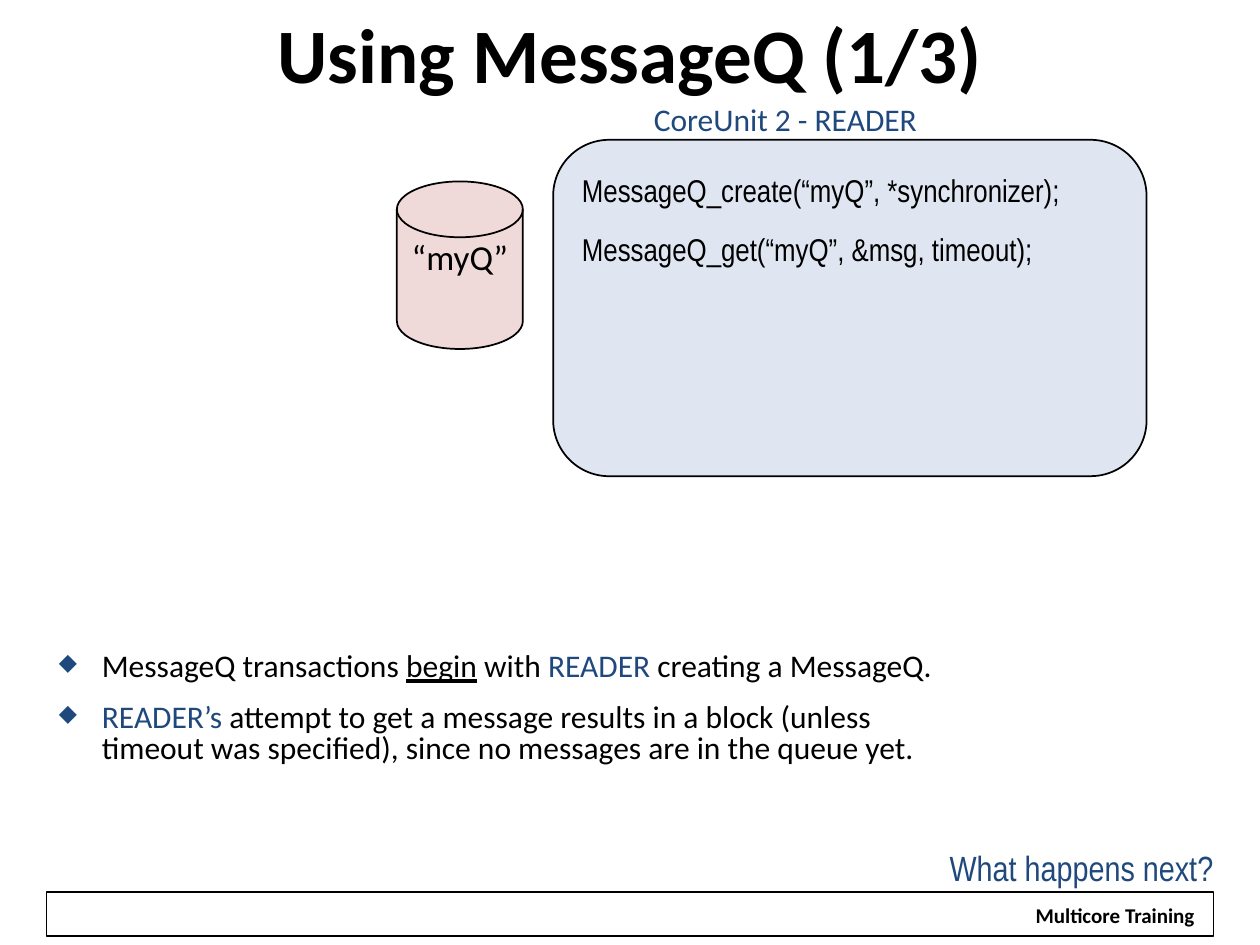
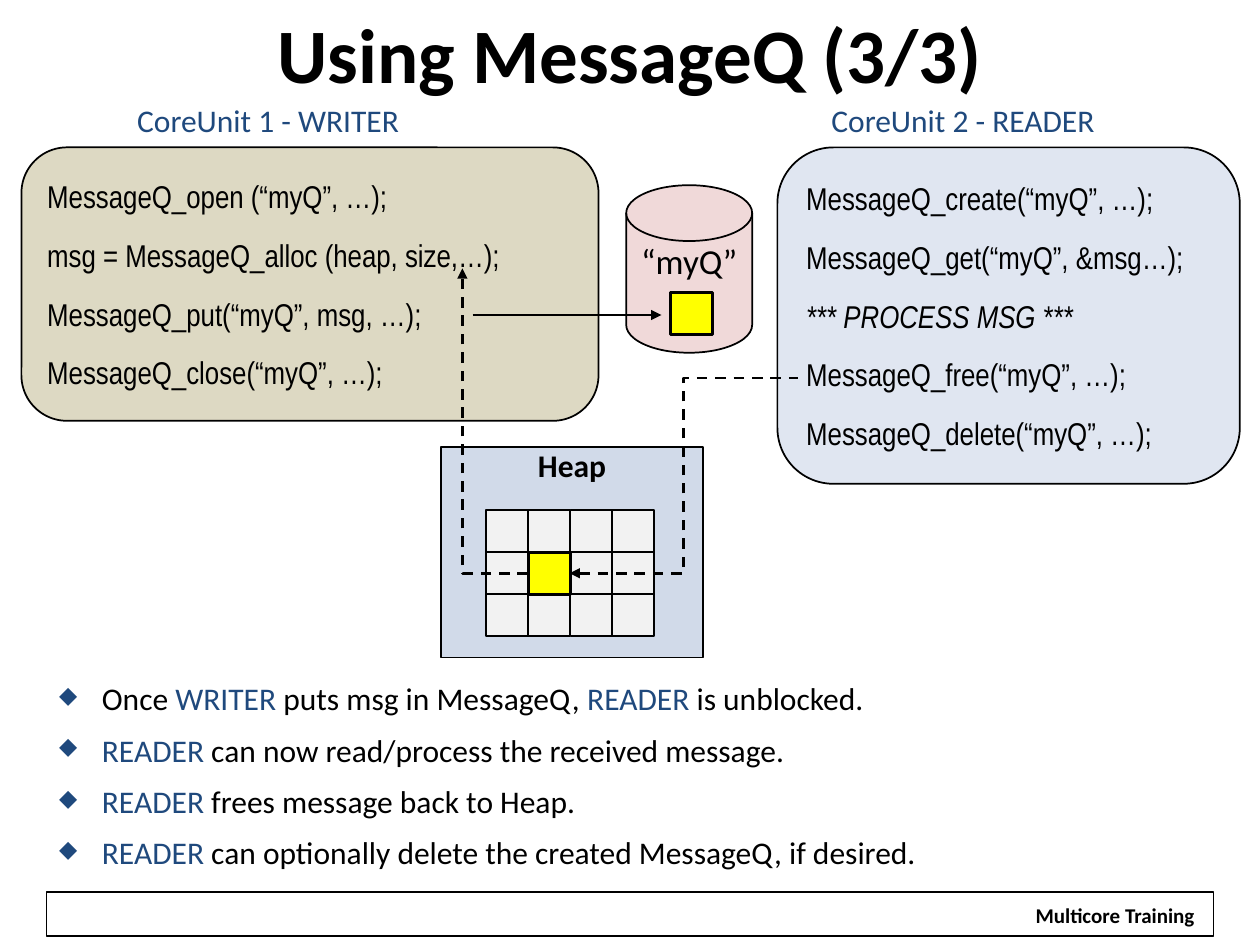
from pptx import Presentation
from pptx.dml.color import RGBColor
from pptx.enum.dml import MSO_LINE
from pptx.enum.shapes import MSO_CONNECTOR, MSO_SHAPE
from pptx.enum.text import MSO_ANCHOR, PP_ALIGN
from pptx.oxml.ns import qn
from pptx.util import Inches, Pt
from lxml import etree

BLACK = RGBColor(0x00, 0x00, 0x00)
WHITE = RGBColor(0xFF, 0xFF, 0xFF)
NAVY = RGBColor(0x1F, 0x49, 0x7D)
READER_FILL = RGBColor(0xE0, 0xE6, 0xF1)
WRITER_FILL = RGBColor(0xDD, 0xD9, 0xC3)
QUEUE_FILL = RGBColor(0xF0, 0xD9, 0xD9)
HEAP_FILL = RGBColor(0xD1, 0xDA, 0xE9)
CELL_FILL = RGBColor(0xF2, 0xF2, 0xF2)
MSG_FILL = RGBColor(0xFF, 0xFF, 0x00)

BODY_FONT = "Calibri"
CODE_FONT = "Arial Narrow"

RECT = MSO_SHAPE.RECTANGLE
ROUND = MSO_SHAPE.ROUNDED_RECTANGLE
DISK = MSO_SHAPE.FLOWCHART_MAGNETIC_DISK
STRAIGHT = MSO_CONNECTOR.STRAIGHT
ELBOW = MSO_CONNECTOR.ELBOW
DASH = MSO_LINE.DASH
TOP, MIDDLE, BOTTOM = MSO_ANCHOR.TOP, MSO_ANCHOR.MIDDLE, MSO_ANCHOR.BOTTOM
LEFT, CENTER, RIGHT = PP_ALIGN.LEFT, PP_ALIGN.CENTER, PP_ALIGN.RIGHT

CELL = 1 / 3


def inches(box):
    return [Inches(v) for v in box]


def add_box(s, kind, box, fill=None, line_pt=1.0):
    sp = s.shapes.add_shape(kind, *inches(box))
    sp.shadow.inherit = False
    if fill is None:
        sp.fill.background()
    else:
        sp.fill.solid()
        sp.fill.fore_color.rgb = fill
    if line_pt:
        sp.line.color.rgb = BLACK
        sp.line.width = Pt(line_pt)
    else:
        sp.line.fill.background()
    return sp


def add_run(p, text, size, font=BODY_FONT, color=BLACK, bold=False):
    r = p.add_run()
    r.text = text
    r.font.size = Pt(size)
    r.font.name = font
    r.font.color.rgb = color
    r.font.bold = bold
    return r


def set_text(sp, text, size, anchor=MIDDLE, align=LEFT, spacing=None, **style):
    tf = sp.text_frame
    tf.word_wrap = True
    tf.vertical_anchor = anchor
    p = tf.paragraphs[0]
    p.alignment = align
    if spacing:
        p.line_spacing = spacing
    add_run(p, text, size, **style)
    return tf


def add_label(s, box, text, size, **style):
    return set_text(s.shapes.add_textbox(*inches(box)), text, size, **style)


def add_frame(s, title):
    add_box(s, RECT, (0.37, 7.08, 9.26, 0.35), line_pt=0.75)
    footer = add_box(s, RECT, (8.11, 7.11, 1.48, 0.3), WHITE, line_pt=0)
    set_text(footer, "Multicore Training", 12, align=CENTER, bold=True)
    footer.text_frame.word_wrap = False
    add_label(s, (0.5, 0, 9, 0.83), title, 44, align=CENTER, bold=True)


def add_core(s, box, fill, calls, label, label_at, anchor=MIDDLE):
    sp = add_box(s, ROUND, box, fill)
    tf = sp.text_frame
    tf.word_wrap = True
    tf.vertical_anchor = anchor
    if anchor == TOP:
        tf.margin_top = Inches(0.12)
    for i, call in enumerate(calls):
        p = tf.add_paragraph() if i else tf.paragraphs[0]
        p.alignment = LEFT
        if i:
            p.space_before = Pt(12)
        r = add_run(p, call, 18, font=CODE_FONT)
        r.font.italic = call.startswith("***")
    add_label(s, (*label_at, 2.95, 0.5), label, 18, color=NAVY)


def add_queue(s, left, top):
    sp = add_box(s, DISK, (left, top, 1, 1.33), QUEUE_FILL)
    set_text(sp, "“myQ”", 20, anchor=TOP, align=CENTER, spacing=0.8)


def add_message(s, left, top):
    add_box(s, RECT, (left, top, CELL, CELL), MSG_FILL, line_pt=1.5)


def add_heap(s, left, top):
    sp = add_box(s, RECT, (left, top, 2.08, 1.67), HEAP_FILL)
    set_text(sp, "Heap", 18, anchor=TOP, align=CENTER, spacing=0.8, bold=True)
    grid_left, grid_top = left + 0.36, top + 0.5
    for row in range(3):
        for col in range(4):
            if (row, col) != (1, 1):
                cell = (grid_left + col * CELL, grid_top + row * CELL, CELL, CELL)
                add_box(s, RECT, cell, CELL_FILL)
    add_message(s, grid_left + CELL, grid_top + CELL)


def add_arrow(s, kind, start, end, arrow="tailEnd", dash=None, preset=None):
    cx = s.shapes.add_connector(kind, *inches(start + end))
    cx.line.color.rgb = BLACK
    cx.line.width = Pt(1.5)
    if dash:
        cx.line.dash_style = dash
    etree.SubElement(cx.line._get_or_add_ln(), qn("a:" + arrow), type="triangle")
    sp_pr = cx._element.spPr
    etree.SubElement(sp_pr, qn("a:effectLst"))
    if preset:
        sp_pr.find(qn("a:prstGeom")).set("prst", preset)


def add_bullet(p):
    p_pr = p._p.get_or_add_pPr()
    p_pr.set("marL", str(Inches(0.34)))
    p_pr.set("indent", str(-Inches(0.34)))
    color = etree.SubElement(p_pr, qn("a:buClr"))
    etree.SubElement(color, qn("a:srgbClr"), val=str(NAVY))
    etree.SubElement(p_pr, qn("a:buSzPct"), val="75000")
    etree.SubElement(p_pr, qn("a:buChar"), char="◆")


def add_bullets(s, box, items):
    tf = s.shapes.add_textbox(*inches(box)).text_frame
    tf.word_wrap = True
    tf.vertical_anchor = MIDDLE
    for i, parts in enumerate(items):
        p = tf.add_paragraph() if i else tf.paragraphs[0]
        add_bullet(p)
        p.line_spacing = 0.8
        if i:
            p.space_before = Pt(12)
        for part in parts:
            if part == "\n":
                p.add_line_break()
                continue
            is_role = part.startswith(("READER", "WRITER"))
            r = add_run(p, part, 18, color=NAVY if is_role else BLACK)
            r.font.underline = part == "begin"


def build_create_slide(s):
    add_frame(s, "Using MessageQ (1/3)")
    add_core(s, (4.39, 1.11, 4.71, 2.67), READER_FILL,
             ["MessageQ_create(“myQ”, *synchronizer);",
              "MessageQ_get(“myQ”, &msg, timeout);"],
             "CoreUnit 2 - READER", (5.09, 0.69), anchor=TOP)
    add_bullets(s, (0.37, 5.01, 9.43, 1.24), [
        ["MessageQ transactions ", "begin", " with ", "READER",
         " creating a MessageQ."],
        ["READER’s", " attempt to get a message results in a block (unless",
         "\n", "timeout was specified), since no messages are in the queue yet."],
    ])
    add_queue(s, 3.15, 1.44)
    tf = add_label(s, (7.32, 6.78, 2.31, 0.27), "What happens next?", 20,
                   anchor=BOTTOM, align=RIGHT, spacing=0.8,
                   font=CODE_FONT, color=NAVY)
    tf.margin_left = tf.margin_right = tf.margin_top = tf.margin_bottom = 0


def build_process_slide(s):
    add_frame(s, "Using MessageQ (3/3)")
    add_queue(s, 4.97, 1.47)
    add_core(s, (6.17, 1.17, 3.67, 2.67), READER_FILL,
             ["MessageQ_create(“myQ”, …);",
              "MessageQ_get(“myQ”, &msg…);",
              "*** PROCESS MSG ***",
              "MessageQ_free(“myQ”, …);",
              "MessageQ_delete(“myQ”, …);"],
             "CoreUnit 2 - READER", (6.5, 0.7))
    add_core(s, (0.17, 1.17, 4.58, 2.17), WRITER_FILL,
             ["MessageQ_open (“myQ”, …);",
              "msg = MessageQ_alloc (heap, size,…);",
              "MessageQ_put(“myQ”, msg, …);",
              "MessageQ_close(“myQ”, …);"],
             "CoreUnit 1 - WRITER", (0.99, 0.7))
    add_heap(s, 3.5, 3.55)
    add_message(s, 5.32, 2.32)
    add_arrow(s, ELBOW, (4.19, 4.55), (3.67, 2.13), dash=DASH,
              preset="bentConnector2")
    add_arrow(s, STRAIGHT, (3.75, 2.5), (5.25, 2.5))
    add_arrow(s, ELBOW, (4.52, 4.55), (6.33, 3), arrow="headEnd", dash=DASH)
    add_bullets(s, (0.37, 5.23, 9.28, 1.9), [
        ["Once ", "WRITER", " puts msg in MessageQ, ", "READER",
         " is unblocked."],
        ["READER", " can now read/process the received message."],
        ["READER", " frees message back to Heap."],
        ["READER", " can optionally delete the created MessageQ, if desired."],
    ])


def main():
    prs = Presentation()
    prs.slide_width, prs.slide_height = Inches(10), Inches(7.5)
    for build in (build_create_slide, build_process_slide):
        build(prs.slides.add_slide(prs.slide_layouts[6]))
    prs.save("out.pptx")


if __name__ == "__main__":
    main()
